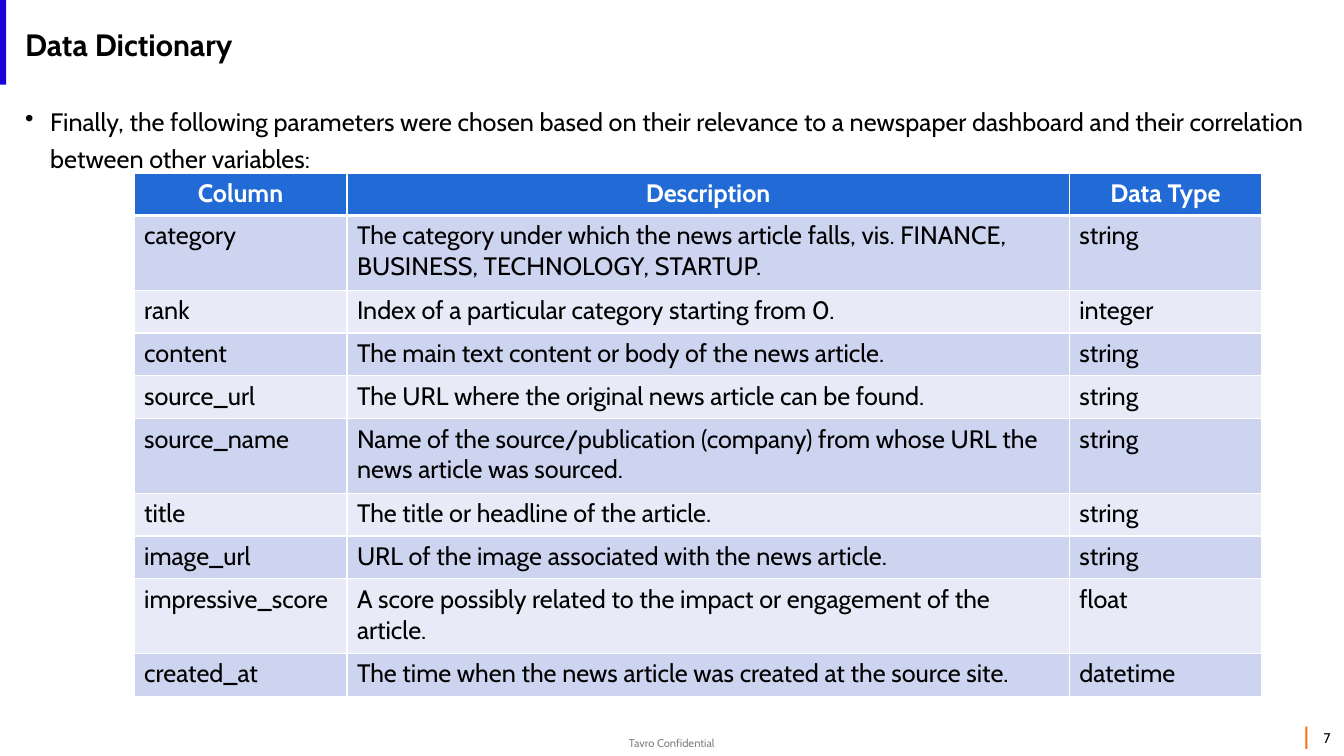
from pptx import Presentation
from pptx import util as u
from pptx.dml import color
from pptx.enum import shapes, text
from pptx.oxml import parse_xml
from pptx.oxml.ns import nsdecls

Pt = u.Pt
ALIGN = text.PP_ALIGN
MIDDLE = text.MSO_ANCHOR.MIDDLE


class Theme:
    face = "Cabin"
    black, white, grey = "000000", "FFFFFF", "808080"
    orange, violet = "FE6E06", "1A00D9"
    head, bands = "226BD6", ("CDD4F0", "E8EBF7")
    title, body, page, foot = 22, 18, 10, 8


ROWS = [
    ("Column", "Description", "Data Type"),
    ("category", "The category under which the news article falls, vis. "
     "FINANCE, BUSINESS, TECHNOLOGY, STARTUP.", "string"),
    ("rank", "Index of a particular category starting from 0.", "integer"),
    ("content", "The main text content or body of the news article.",
     "string"),
    ("source_url", "The URL where the original news article can be found.",
     "string"),
    ("source_name", "Name of the source/publication (company) from whose URL "
     "the news article was sourced.", "string"),
    ("title", "The title or headline of the article.", "string"),
    ("image_url", "URL of the image associated with the news article.",
     "string"),
    ("impressive_score", "A score possibly related to the impact or "
     "engagement of the article.", "float"),
    ("created_at", "The time when the news article was created at the "
     "source site.", "datetime"),
]
WIDTHS = (152, 516, 137.5)
HEAD, SINGLE, DOUBLE = 30, 30.6, 53.3
TALL = ("category", "source_name", "impressive_score")


def assign(item, values):
    for name, value in values.items():
        setattr(item, name, value)


class Page:
    def __init__(self, slide, theme):
        self.slide, self.theme = slide, theme

    def style(self, para, words, size, ink, bold=False, align=ALIGN.LEFT):
        para.text = words
        para.alignment = align
        assign(para.font, {"name": self.theme.face, "size": Pt(size),
                           "bold": bold})
        para.font.color.rgb = color.RGBColor.from_string(ink)

    def bar(self, box, fill):
        shape = self.slide.shapes.add_shape(
            shapes.MSO_SHAPE.RECTANGLE, *map(Pt, box))
        shape.shadow.inherit = False
        shape.fill.solid()
        shape.fill.fore_color.rgb = color.RGBColor.from_string(fill)
        shape.line.fill.background()

    def label(self, box, words, size, ink, anchor=MIDDLE, **form):
        frame = self.slide.shapes.add_textbox(*map(Pt, box)).text_frame
        assign(frame, {"word_wrap": True, "vertical_anchor": anchor})
        self.style(frame.paragraphs[0], words, size, ink, **form)
        return frame.paragraphs[0]

    def bullet(self, box, words, size, ink):
        para = self.label(box, words, size, ink, text.MSO_ANCHOR.TOP)
        para.line_spacing = 1.2
        props = para._p.get_or_add_pPr()
        props.set("marL", str(Pt(18)))
        props.set("indent", str(Pt(-18)))
        mark = parse_xml(f'<a:buChar {nsdecls("a")} char="•"/>')
        props.find("{*}lnSpc").addnext(mark)

    def border(self, cell, sides):
        props = cell._tc.get_or_add_tcPr()
        for side, width in sides.items():
            props.append(parse_xml(
                f'<a:ln{side} {nsdecls("a")} w="{Pt(width)}"><a:solidFill>'
                f'<a:srgbClr val="{self.theme.white}"/></a:solidFill>'
                f'</a:ln{side}>'))

    def table(self, left, top, rows, widths, heights):
        grid = self.slide.shapes.add_table(
            len(rows), len(widths), Pt(left), Pt(top),
            Pt(sum(widths)), Pt(sum(heights))).table
        for col, width in zip(grid.columns, widths):
            col.width = Pt(width)
        for r, row in enumerate(rows):
            grid.rows[r].height = Pt(heights[r])
            for c, words in enumerate(row):
                self.cell(grid.cell(r, c), r, words)

    def cell(self, cell, r, words):
        th = self.theme
        head = r == 0
        # A thick rule parts the header from the body
        self.border(cell, {"L": 1, "R": 1, "T": 3 if r == 1 else 1,
                           "B": 3 if head else 1})
        fill = th.head if head else th.bands[(r - 1) % 2]
        cell.fill.solid()
        cell.fill.fore_color.rgb = color.RGBColor.from_string(fill)
        self.style(cell.text_frame.paragraphs[0], words, th.body,
                   th.white if head else th.black, head,
                   ALIGN.CENTER if head else ALIGN.LEFT)


def main():
    deck = Presentation()
    assign(deck, {"slide_width": Pt(960), "slide_height": Pt(540)})
    th = Theme
    page = Page(deck.slides.add_slide(deck.slide_layouts[6]), th)

    # Accent bars
    page.bar((932.4, 519, 1.6, 16), th.orange)
    page.bar((-1.4, 0, 5.8, 60.5), th.violet)

    # Title and footer
    page.label((10.8, 5, 929, 52.6), "Data Dictionary", th.title, th.black,
               bold=True)
    page.label((428.4, 523.5, 103, 14.4), "Tavro Confidential", th.foot,
               th.grey, align=ALIGN.CENTER)
    page.label((911.5, 512.6, 46, 28.8), "7", th.page, th.black,
               align=ALIGN.RIGHT)

    # Lead sentence
    page.bullet((10.8, 68.4, 929, 65.5),
                "Finally, the following parameters were chosen based on their "
                "relevance to a newspaper dashboard and their correlation "
                "between other variables:", th.body, th.black)

    # Data dictionary
    heights = [HEAD] + [DOUBLE if row[0] in TALL else SINGLE
                        for row in ROWS[1:]]
    page.table(95.8, 124, ROWS, WIDTHS, heights)

    deck.save("out.pptx")


if __name__ == "__main__":
    main()
